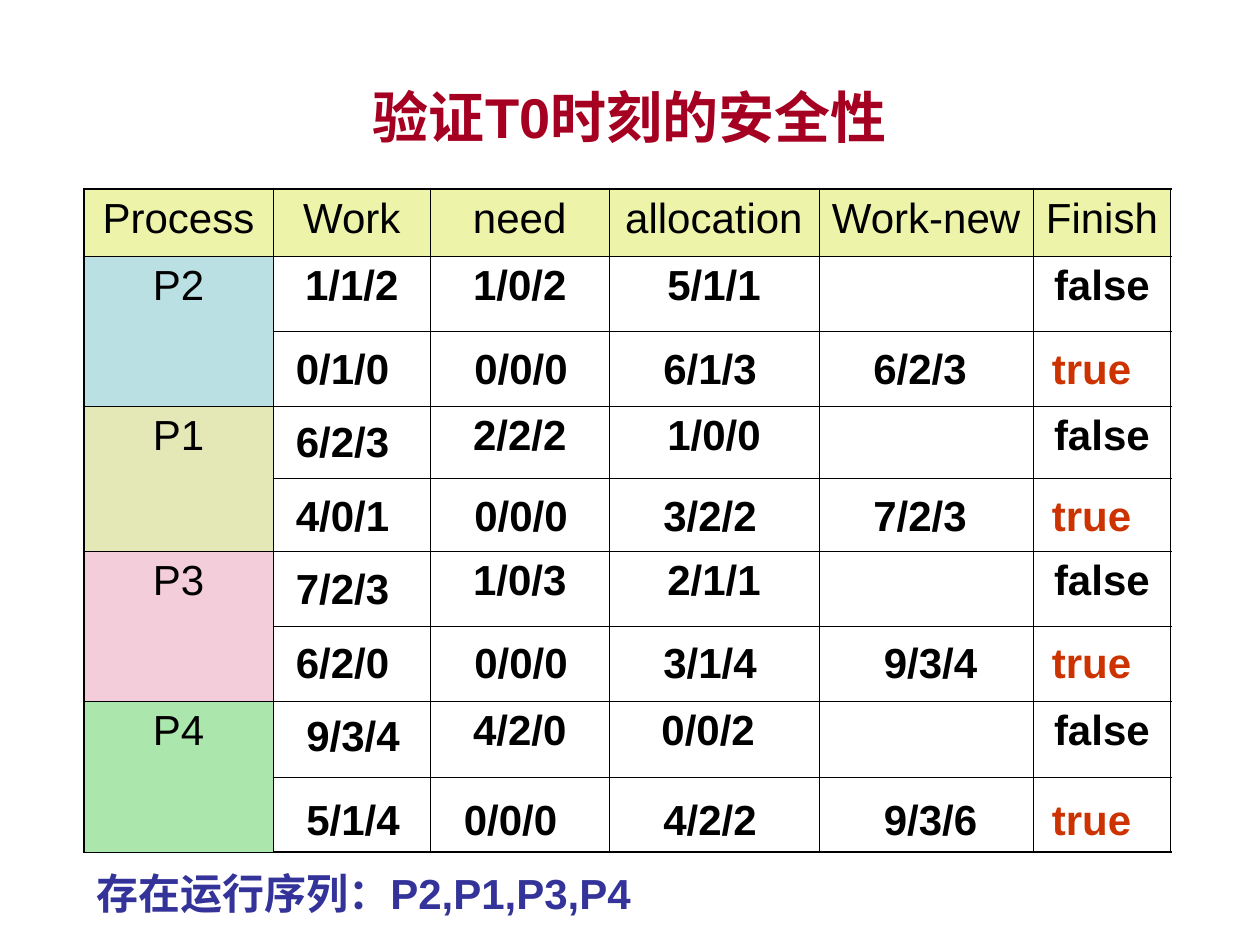
from lxml import etree
from pptx import Presentation
from pptx.dml.color import RGBColor
from pptx.enum import text
from pptx.oxml import ns
from pptx.util import Pt

BLACK = RGBColor(0x00, 0x00, 0x00)
TITLE_RED = RGBColor(0xA5, 0x00, 0x21)
TRUE_RED = RGBColor(0xCC, 0x33, 0x00)
SEQUENCE_BLUE = RGBColor(0x33, 0x33, 0x99)
HEADER_FILL = RGBColor(0xED, 0xF4, 0xAA)
PROCESS_FILLS = [
    RGBColor(0xBB, 0xE0, 0xE3),
    RGBColor(0xE4, 0xE8, 0xB6),
    RGBColor(0xF3, 0xCD, 0xD9),
    RGBColor(0xAB, 0xE7, 0xAC),
]
CENTER = text.PP_ALIGN.CENTER
LEFT = text.PP_ALIGN.LEFT
OUTER, INNER = Pt(1.08), Pt(0.45)


def write(frame, words, color=BLACK, size=24, bold=True, align=LEFT):
    paragraph = frame.paragraphs[0]
    paragraph.alignment = align
    run = paragraph.add_run()
    run.text = words
    run.font.color.rgb = color
    font_values = {"name": "Arial", "size": Pt(size), "bold": bold}
    for name, value in font_values.items():
        setattr(run.font, name, value)


def add_label(left, top, width, words, color=BLACK):
    frame = slide.shapes.add_textbox(Pt(left), Pt(top), Pt(width), Pt(36)).text_frame
    frame.word_wrap = True
    frame.auto_size = text.MSO_AUTO_SIZE.SHAPE_TO_FIT_TEXT
    write(frame, words, color)


presentation = Presentation()
presentation.slide_width, presentation.slide_height = Pt(720), Pt(540)
slide = presentation.slides.add_slide(presentation.slide_layouts[5])

# Title
title = slide.shapes.title
place = {"left": Pt(36), "top": Pt(21.6), "width": Pt(648), "height": Pt(90)}
for name, value in place.items():
    setattr(title, name, value)
title.text_frame.vertical_anchor = text.MSO_ANCHOR.MIDDLE
write(title.text_frame, "验证T0时刻的安全性", TITLE_RED, 32, align=CENTER)

# Safe sequence found
add_label(48, 492, 606, "存在运行序列：P2,P1,P3,P4", SEQUENCE_BLUE)

# Table: each process spans two rows
rows = [
    ["Process", "Work", "need", "allocation", "Work-new", "Finish"],
    ["P2", "1/1/2", "1/0/2", "5/1/1", "", "false"],
    ["P1", "", "2/2/2", "1/0/0", "", "false"],
    ["P3", "", "1/0/3", "2/1/1", "", "false"],
    ["P4", "", "4/2/0", "0/0/2 ", "", "false"],
]
column_widths = [108, 90, 102, 120, 122.4, 78.6]
row_heights = [38.3, 43, 43, 41.4, 41.4, 43, 43, 43, 43]
last_row, last_column = len(row_heights) - 1, len(column_widths) - 1
table = slide.shapes.add_table(
    len(row_heights), len(column_widths), Pt(48), Pt(108),
    Pt(sum(column_widths)), Pt(sum(row_heights)),
).table
table.first_row = table.horz_banding = False
for column, width in zip(table.columns, column_widths):
    column.width = Pt(width)
for row, height in zip(table.rows, row_heights):
    row.height = Pt(height)

# Cell borders and fills
for r in range(last_row + 1):
    for c in range(last_column + 1):
        cell = table.cell(r, c)
        properties = cell._tc.get_or_add_tcPr()
        on_edge = {"L": c == 0, "R": c == last_column, "T": r == 0, "B": r == last_row}
        for side, outer in on_edge.items():
            line = etree.SubElement(properties, ns.qn(f"a:ln{side}"), w=str(OUTER if outer else INNER))
            solid = etree.SubElement(line, ns.qn("a:solidFill"))
            etree.SubElement(solid, ns.qn("a:srgbClr"), val=str(BLACK))
        if r == 0 or c == 0:
            cell.fill.solid()
            cell.fill.fore_color.rgb = HEADER_FILL if r == 0 else PROCESS_FILLS[(r - 1) // 2]
        else:
            cell.fill.background()

# Cell text
for index, values in enumerate(rows):
    r = max(0, 2 * index - 1)
    if r:
        table.cell(r, 0).merge(table.cell(r + 1, 0))
    for c, words in enumerate(values):
        if words:
            write(table.cell(r, c).text_frame, words, bold=r > 0 and c > 0, align=CENTER)

# Step values over the table: top, then (left, value) pairs
steps = [
    (192, [(162, "0/1/0"), (264, "0/0/0"), (372, "6/1/3"), (492, "6/2/3"), (594, "true")]),
    (234, [(162, "6/2/3")]),
    (276, [(162, "4/0/1"), (264, "0/0/0"), (372, "3/2/2"), (492, "7/2/3"), (594, "true")]),
    (318, [(162, "7/2/3")]),
    (360, [(162, "6/2/0"), (264, "0/0/0"), (372, "3/1/4"), (498, "9/3/4"), (594, "true")]),
    (402, [(168, "9/3/4")]),
    (450, [(168, "5/1/4"), (258, "0/0/0"), (372, "4/2/2"), (498, "9/3/6"), (594, "true")]),
]
for top, values in steps:
    for left, words in values:
        add_label(left, top, 72, words, TRUE_RED if words == "true" else BLACK)

presentation.save("out.pptx")
